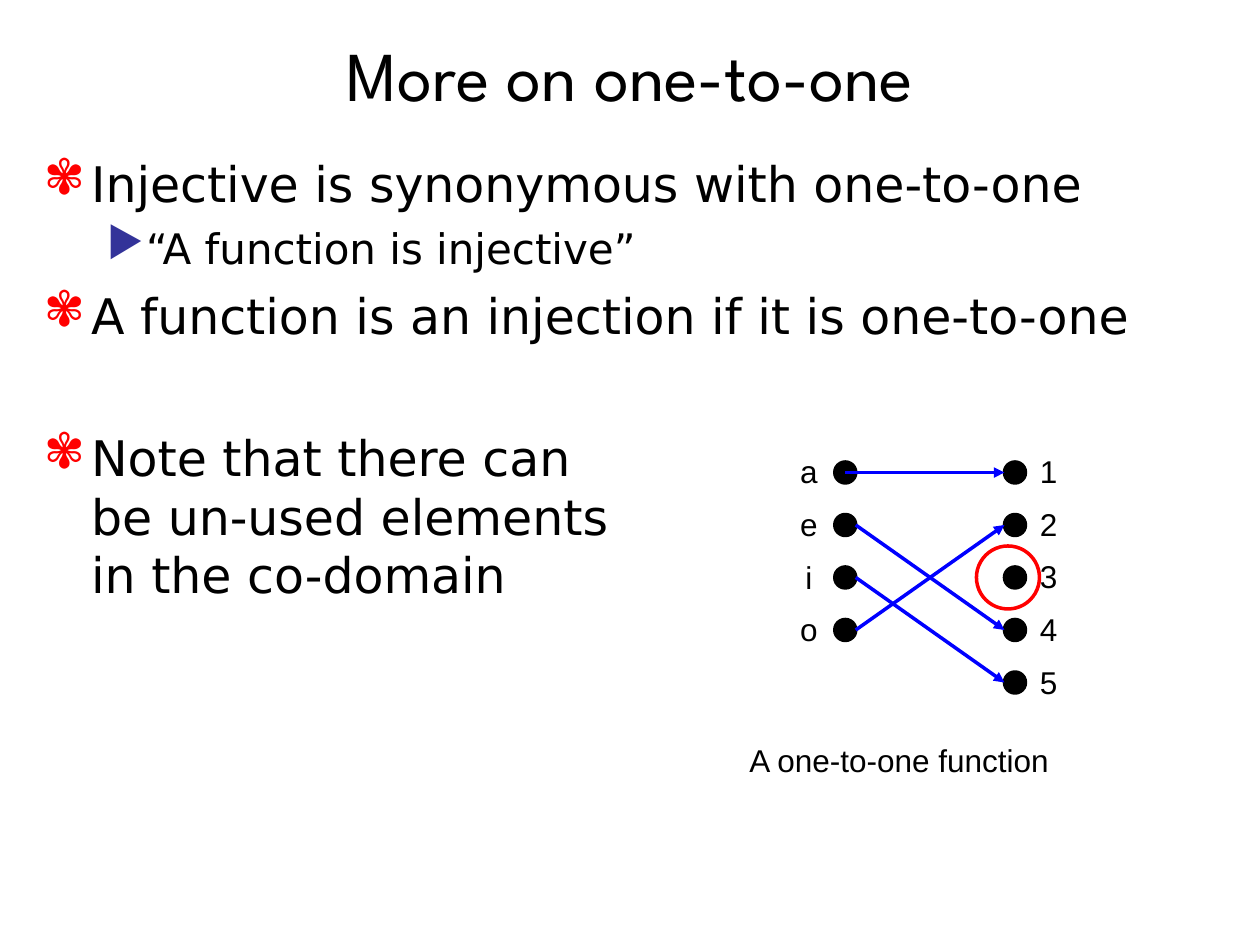
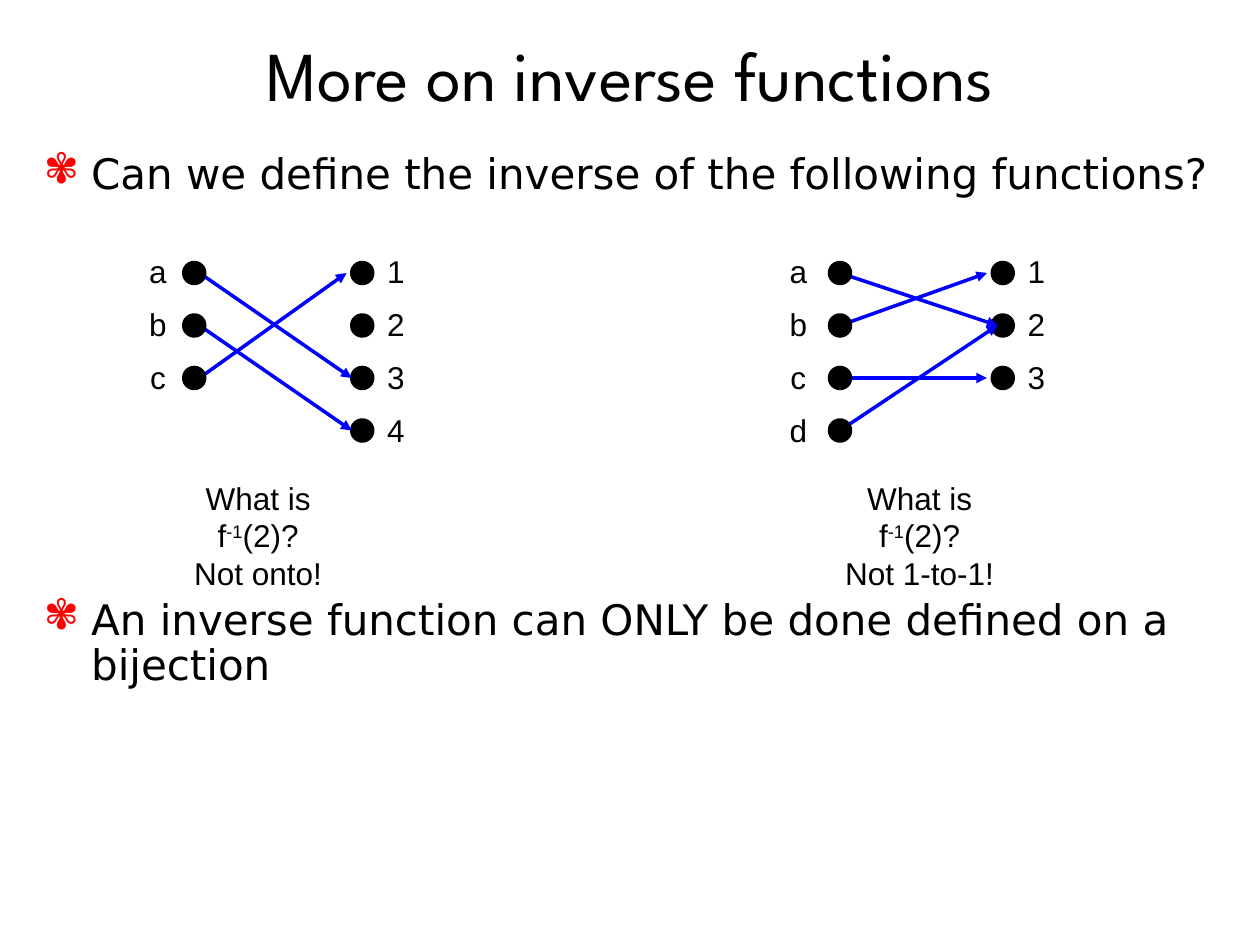
"""Build two slides on one-to-one and inverse functions."""
from lxml.etree import SubElement as Sub
from pptx import Presentation
from pptx.dml.color import RGBColor as Rgb
from pptx.enum.shapes import MSO_CONNECTOR as Conn, MSO_SHAPE as Kind
from pptx.enum.text import MSO_ANCHOR as Anchor, MSO_AUTO_SIZE as Fit, PP_ALIGN as Align
from pptx.oxml.ns import qn
from pptx.util import Pt

HUES = {"ink": "000000", "paper": "FFFFFF", "link": "0000FF", "red": "FF0000", "mark": "333399"}
TITLE = {"name": "League Spartan", "size": Pt(40)}
LABEL = {"name": "Arial", "size": Pt(18)}
BODY = "DejaVu Sans"
MID = {"alignment": Align.CENTER}
TALL = {**MID, "line_spacing": 1.4}
LOOSE = {"word_wrap": False, "auto_size": Fit.SHAPE_TO_FIT_TEXT}
MARKS = [("✾", "red", 27, -27), ("▶", "mark", 58.5, -22.5)]
DOT, STEP = 12, 30


def hue(name):
    return Rgb.from_string(HUES[name])


def put(item, vals):
    for key, val in vals.items():
        setattr(item, key, val)


class Deck:
    """Hold the style and the current slide."""

    def __init__(self):
        self.prs = Presentation()
        put(self.prs, {"slide_width": Pt(720), "slide_height": Pt(540)})

    def page(self, title):
        self.slide = self.prs.slides.add_slide(self.prs.slide_layouts[6])
        fill = self.slide.background.fill
        fill.solid()
        fill.fore_color.rgb = hue("paper")
        frame = self.frame((18, 12, 684, 60), {"word_wrap": True, "vertical_anchor": Anchor.MIDDLE})
        self.words(frame.paragraphs[0], title, TITLE, MID)

    def frame(self, box, form):
        frame = self.slide.shapes.add_textbox(*map(Pt, box)).text_frame
        put(frame, form)
        return frame

    def words(self, para, text, font, form):
        put(para, form)
        for row, line in enumerate(text.split("\v")):
            if row:
                para.add_line_break()
            for num, part in enumerate(line.split("^")):
                run = para.add_run()
                run.text = part
                put(run.font, font)
                run.font.color.rgb = hue("ink")
                if num % 2:
                    run.font._element.set("baseline", "30000")

    def lines(self, box, rows, form=MID):
        frame = self.frame(box, LOOSE)
        for num, text in enumerate(rows):
            para = frame.add_paragraph() if num else frame.paragraphs[0]
            self.words(para, text, LABEL, form)

    def points(self, rows, high, pitch=1.0):
        frame = self.frame((18, 84, 684, high), {"word_wrap": True})
        for num, (text, level, size, gap) in enumerate(rows):
            para = frame.add_paragraph() if num else frame.paragraphs[0]
            form = {"level": level, "space_before": Pt(gap), "line_spacing": pitch}
            self.words(para, text, {"name": BODY, "size": Pt(size)}, form)
            char, tint, left, hang = MARKS[level]
            props = para._p.get_or_add_pPr()
            props.set("marL", str(Pt(left)))
            props.set("indent", str(Pt(hang)))
            Sub(Sub(props, qn("a:buClr")), qn("a:srgbClr"), val=HUES[tint])
            Sub(props, qn("a:buChar"), char=char)

    def disc(self, left, top, size=DOT, fill="ink", line="ink"):
        disc = self.slide.shapes.add_shape(Kind.OVAL, *map(Pt, (left, top, size, size)))
        disc.shadow.inherit = False
        if fill:
            disc.fill.solid()
            disc.fill.fore_color.rgb = hue(fill)
        else:
            disc.fill.background()
        disc.line.color.rgb = hue(line)
        disc.line.width = Pt(2)

    def dots(self, left, top, names):
        for num in range(len(names)):
            self.disc(left, top + num * STEP)

    def arrow(self, *ends):
        link = self.slide.shapes.add_connector(Conn.STRAIGHT, *map(Pt, ends))
        link.line.color.rgb = hue("link")
        link.line.width = Pt(2)
        Sub(link.line._get_or_add_ln(), qn("a:tailEnd"), type="triangle")
        Sub(link._element.spPr, qn("a:effectLst"))

    def graph(self, left, right, top, froms, tos, links, pad=27, over=False):
        self.dots(right, top, tos)
        if over:
            self.dots(left, top, froms)
        mid = top + DOT / 2
        for src, dst, out, into in links:
            self.arrow(left + out, mid + froms.index(src) * STEP,
                       right + into, mid + tos.index(dst) * STEP)
        if not over:
            self.dots(left, top, froms)
        for start, names in ((left - pad, froms), (right + 13, tos)):
            self.lines((start, top - 18, 24.5, 7.2 + 30.24 * len(names)), names, TALL)


def main():
    deck = Deck()
    deck.page("More on one-to-one")
    deck.points([
        ("Injective is synonymous with one-to-one", 0, 28, 7),
        ("“A function is injective”", 1, 24, 6),
        ("A function is an injection if it is one-to-one", 0, 28, 7),
        ("Note that there can\vbe un-used elements\vin the co-domain", 0, 28, 47.5),
    ], 414)
    deck.graph(477, 574, 264, "aeio", "12345",
               [("a", "1", 6, 0), ("e", "4", 12, 0), ("o", "2", 12, 0), ("i", "5", 12, 0)],
               over=True)
    deck.lines((420.5, 420, 186.5, 29), ["A one-to-one function"])
    deck.disc(558, 312, 36, None, "red")

    deck.page("More on inverse functions")
    deck.points([
        ("Can we define the inverse of the following functions?", 0, 24, 6),
        ("An inverse function can ONLY be done defined on a bijection", 0, 24, 229),
    ], 401, 0.9)
    deck.graph(105, 201, 150, "abc", "1234",
               [("b", "4", 9, 0), ("a", "3", 9, 0), ("c", "1", 9, -3)])
    deck.graph(474, 567, 150, "abcd", "123",
               [("b", "1", 6, -3), ("a", "2", 6, 3), ("c", "3", 6, -3), ("d", "2", 6, 3)], 30)
    for left, note in ((85, "Not onto!"), (463, "Not 1-to-1!")):
        deck.lines((left, 270, 125, 50.5), ["What is f^-1^(2)?", note])
    deck.prs.save("out.pptx")


if __name__ == "__main__":
    main()
